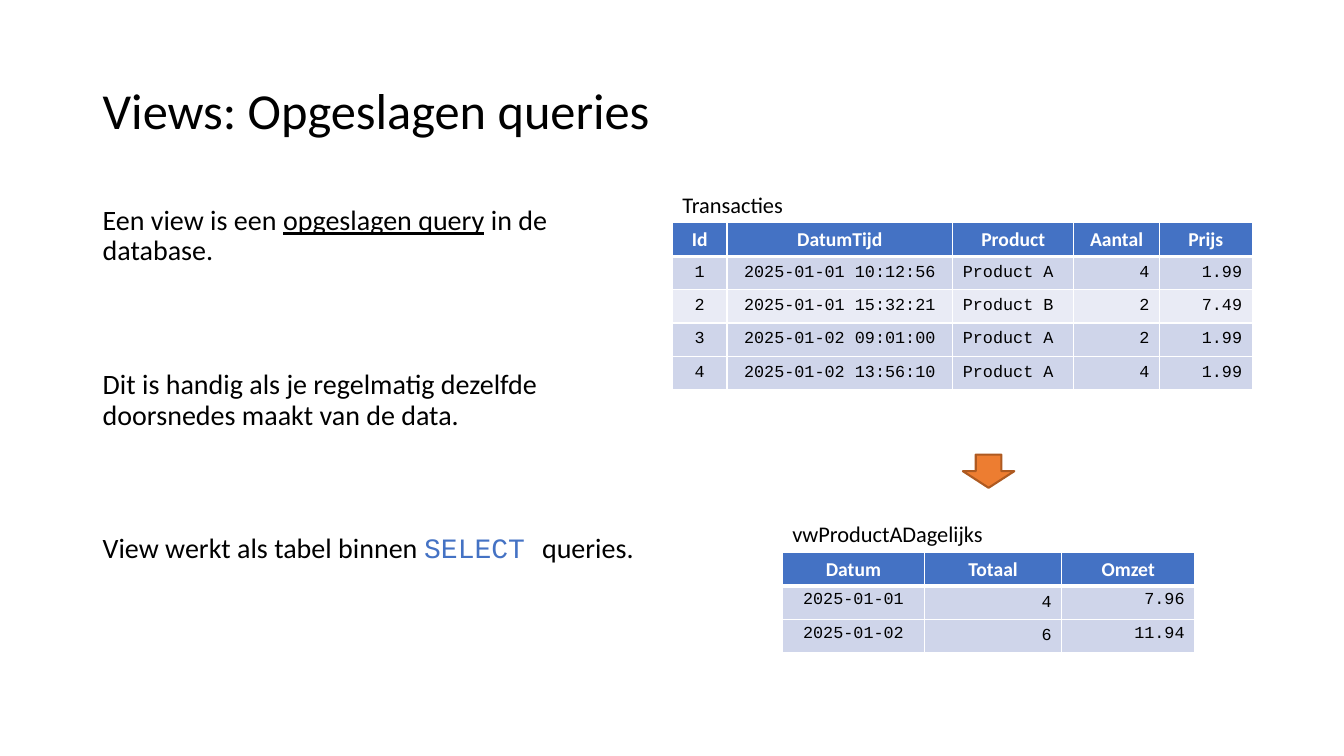
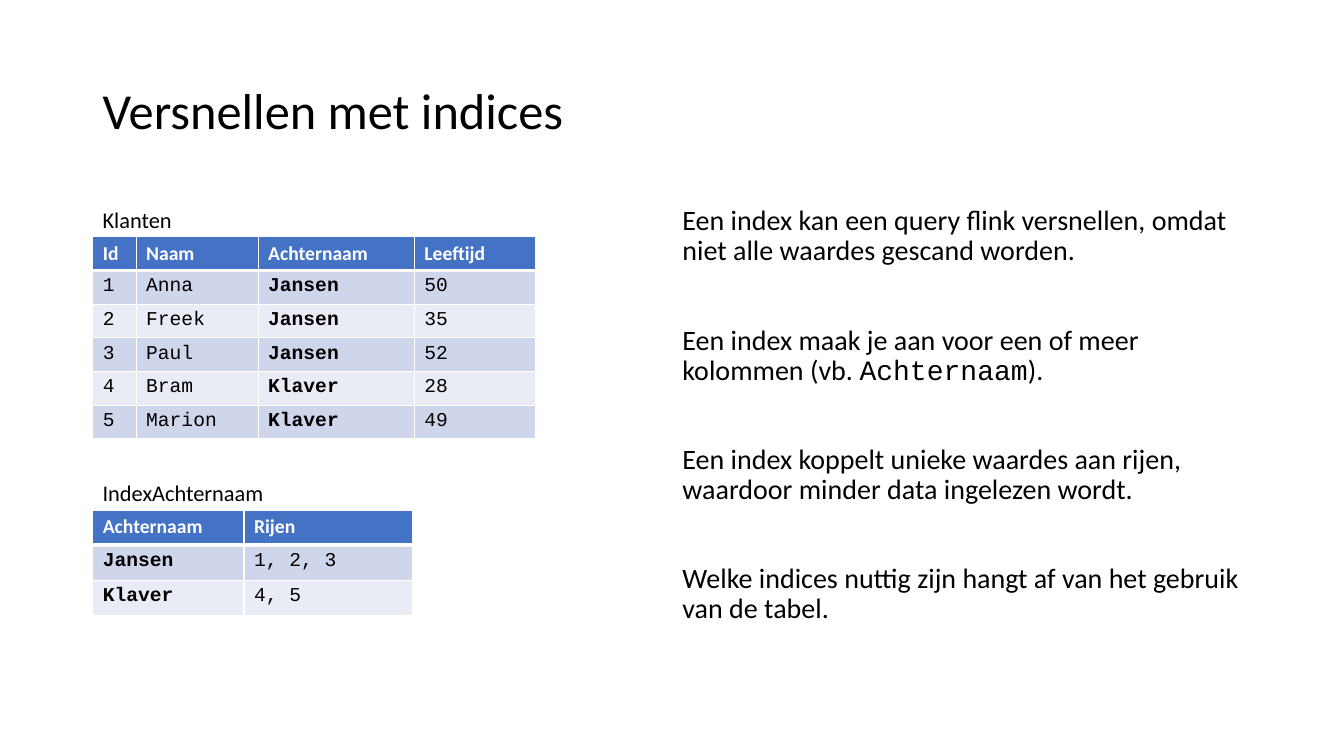
from dataclasses import dataclass

from lxml.etree import SubElement
from pptx import Presentation
from pptx.dml.color import RGBColor as RGB
from pptx.enum.shapes import MSO_SHAPE as Shape
from pptx.enum.text import MSO_ANCHOR as Anchor, PP_ALIGN as Align
from pptx.oxml.ns import qn
from pptx.util import Inches, Pt


@dataclass(frozen=True)
class Theme:
    text: str = "000000"
    white: str = "FFFFFF"
    blue: str = "4472C4"
    band: str = "CFD5EA"
    pale: str = "E9EBF5"
    orange: str = "ED7D31"
    rust: str = "AE5A21"
    sans: str = "Calibri"
    mono: str = "Courier New"
    title: int = 36
    body: int = 20
    label: int = 16
    head: int = 14


ALIGN = {"l": Align.LEFT, "c": Align.CENTER, "r": Align.RIGHT}
LEFT, MID = 0.92, 6.67


class Deck:
    def __init__(self, theme):
        self.theme = theme
        self.prs = Presentation()
        self.prs.slide_width, self.prs.slide_height = Inches(13.33), Inches(7.5)
        self.slide = None

    def style(self, run, size, name=None, color=None, bold=False):
        font = run.font
        font.name = name or self.theme.sans
        font.size, font.bold = Pt(size), bold
        font.color.rgb = RGB.from_string(color or self.theme.text)

    def box(self, x, y, w, h):
        shape = self.slide.shapes.add_textbox(*map(Inches, (x, y, w, h)))
        shape.text_frame.word_wrap = True
        return shape.text_frame

    def page(self, title):
        """Start a slide with its title."""
        self.slide = self.prs.slides.add_slide(self.prs.slide_layouts[6])
        frame = self.box(LEFT, 0.4, 11.5, 1.45)
        frame.vertical_anchor = Anchor.MIDDLE
        frame.text = title
        para = frame.paragraphs[0]
        para.line_spacing = 0.9
        self.style(para.runs[0], self.theme.title)

    def body(self, x, gap, paras):
        """Write paragraphs of (text, kind) parts, gap points apart."""
        look = {
            "plain": {},
            "under": {},
            "code": {"name": self.theme.mono},
            "key": {"name": self.theme.mono, "color": self.theme.blue},
        }
        frame = self.box(x, 2, 5.75, 4.76)
        for i, parts in enumerate(paras):
            para = frame.add_paragraph() if i else frame.paragraphs[0]
            para.line_spacing = 0.9
            if i:
                para.space_before = Pt(gap)
            for text, kind in parts:
                run = para.add_run()
                run.text = text
                self.style(run, self.theme.body, **look[kind])
                if kind == "under":
                    run.font.underline = True

    def label(self, x, y, text):
        frame = self.box(x, y, 2.5, 0.37)
        frame.text = text
        self.style(frame.paragraphs[0].runs[0], self.theme.label)

    def edges(self, cell, top, low):
        """Draw white cell borders, with top and low widths in points."""
        props = cell._tc.get_or_add_tcPr()
        for side, width in (("L", 1), ("R", 1), ("T", top), ("B", low)):
            line = SubElement(props, qn(f"a:ln{side}"), w=str(Pt(width)))
            fill = SubElement(line, qn("a:solidFill"))
            SubElement(fill, qn("a:srgbClr"), val=self.theme.white)

    def table(self, x, y, cols, step, rows, aligns, size=14, pale=(),
              mids=(), bold=None, center=False):
        """Draw a table; pale lists light rows, mids the centred columns."""
        theme = self.theme
        grid = self.slide.shapes.add_table(
            len(rows), len(cols), Inches(x), Inches(y),
            Inches(sum(cols)), Inches(step * len(rows))).table
        for col, width in zip(grid.columns, cols):
            col.width = Inches(width)
        for r, row in enumerate(rows):
            grid.rows[r].height = Inches(step)
            for c, text in enumerate(row):
                cell = grid.cell(r, c)
                cell.text = text
                para = cell.text_frame.paragraphs[0]
                run = para.runs[0]
                self.edges(cell, 3 if r == 1 else 1, 1 if r else 3)
                cell.fill.solid()
                if r:
                    shade = theme.pale if r in pale else theme.band
                    para.alignment = ALIGN[aligns[c]]
                    self.style(run, size, theme.mono, bold=c == bold)
                    if c in mids:
                        cell.vertical_anchor = Anchor.MIDDLE
                else:
                    shade = theme.blue
                    para.alignment = ALIGN["c" if center else "l"]
                    self.style(run, theme.head, color=theme.white, bold=True)
                cell.fill.fore_color.rgb = RGB.from_string(shade)

    def arrow(self, x, y, w, h):
        shape = self.slide.shapes.add_shape(
            Shape.DOWN_ARROW, *map(Inches, (x, y, w, h)))
        shape.shadow.inherit = False
        shape.fill.solid()
        shape.fill.fore_color.rgb = RGB.from_string(self.theme.orange)
        shape.line.color.rgb = RGB.from_string(self.theme.rust)
        shape.line.width = Pt(1.5)


def views(deck):
    deck.page("Views: Opgeslagen queries")
    deck.body(LEFT, 74, [
        [("Een view is een ", "plain"), ("opgeslagen query", "under"),
         (" in de database.", "plain")],
        [("Dit is handig als je regelmatig dezelfde doorsnedes maakt "
          "van de data.", "plain")],
        [("View werkt als tabel binnen ", "plain"), ("SELECT ", "key"),
         ("queries.", "plain")],
    ])
    deck.table(MID, 2.21, [0.54, 2.24, 1.2, 0.85, 0.92], 0.33, [
        ["Id", "DatumTijd", "Product", "Aantal", "Prijs"],
        ["1", "2025-01-01 10:12:56", "Product A", "4", "1.99"],
        ["2", "2025-01-01 15:32:21", "Product B", "2", "7.49"],
        ["3", "2025-01-02 09:01:00", "Product A", "2", "1.99"],
        ["4", "2025-01-02 13:56:10", "Product A", "4", "1.99"],
    ], "cclrr", size=12, pale=(2,), mids=range(5), center=True)
    deck.table(7.76, 5.48, [1.41, 1.36, 1.32], 0.33, [
        ["Datum", "Totaal", "Omzet"],
        ["2025-01-01", "4", "7.96"],
        ["2025-01-02", "6", "11.94"],
    ], "crr", size=12, mids=(1,), center=True)
    deck.label(MID, 1.85, "Transacties")
    deck.label(7.76, 5.11, "vwProductADagelijks")
    deck.arrow(9.55, 4.51, 0.51, 0.33)


def indices(deck):
    deck.page("Versnellen met indices")
    deck.body(MID, 42, [
        [("Een index kan een query flink versnellen, omdat niet alle "
          "waardes gescand worden.", "plain")],
        [("Een index maak je aan voor een of meer kolommen (vb. ", "plain"),
         ("Achternaam", "code"), (").", "plain")],
        [("Een index koppelt unieke waardes aan rijen, waardoor minder "
          "data ingelezen wordt.", "plain")],
        [("Welke indices nuttig zijn hangt af van het gebruik van de "
          "tabel.", "plain")],
    ])
    deck.label(LEFT, 2, "Klanten")
    deck.table(LEFT, 2.35, [0.43, 1.21, 1.55, 1.2], 0.33, [
        ["Id", "Naam", "Achternaam", "Leeftijd"],
        ["1", "Anna", "Jansen", "50"],
        ["2", "Freek", "Jansen", "35"],
        ["3", "Paul", "Jansen", "52"],
        ["4", "Bram", "Klaver", "28"],
        ["5", "Marion", "Klaver", "49"],
    ], "llll", pale=(2, 4), bold=2)
    deck.label(LEFT, 4.7, "IndexAchternaam")
    deck.table(LEFT, 5.06, [1.5, 1.67], 0.35, [
        ["Achternaam", "Rijen"],
        ["Jansen", "1, 2, 3"],
        ["Klaver", "4, 5"],
    ], "ll", pale=(2,), bold=0)


def main():
    deck = Deck(Theme())
    views(deck)
    indices(deck)
    deck.prs.save("out.pptx")


if __name__ == "__main__":
    main()
